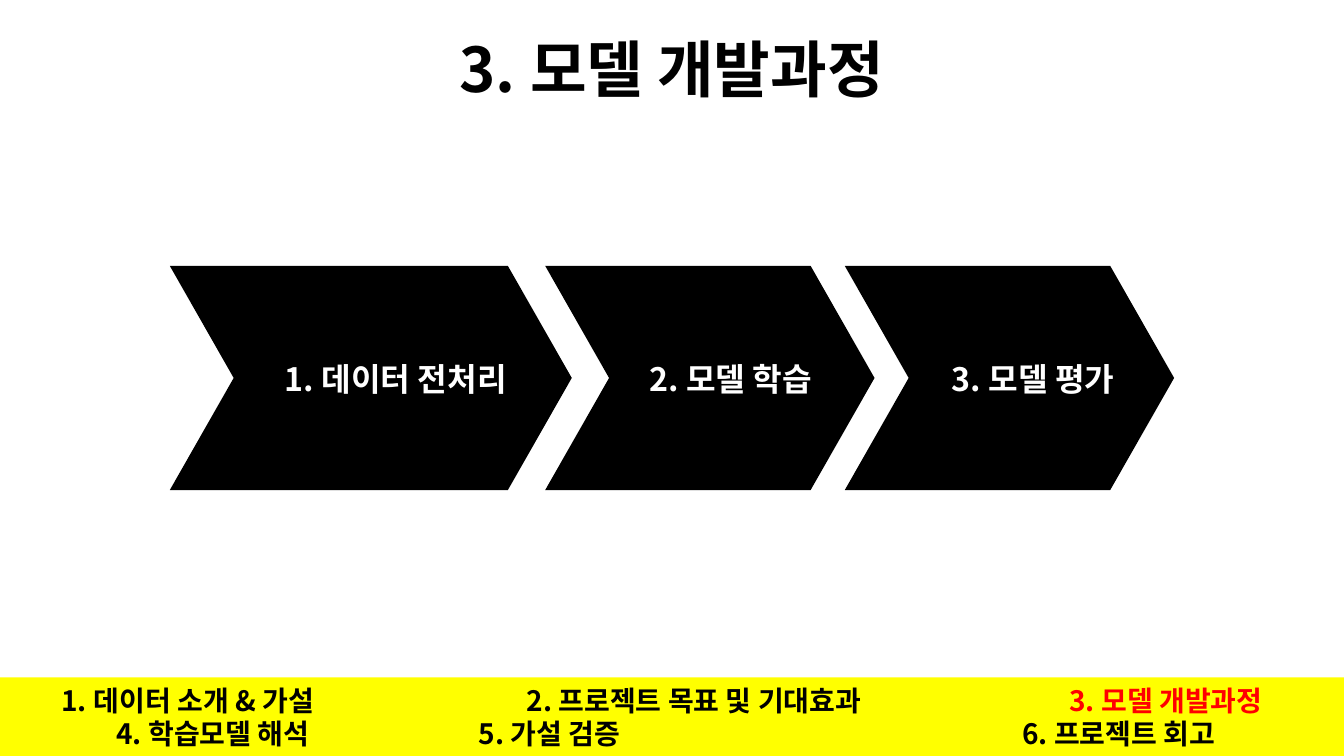
from lxml import etree
from pptx import Presentation
from pptx import util as u
from pptx.dml.color import RGBColor
from pptx.enum import shapes, text
from pptx.oxml import ns

HUES = {"ink": "000000", "paper": "FFFFFF", "bar": "FFFF00", "now": "FF0000"}


class Deck:
    face = "Noto Sans CJK KR"

    def __init__(self, wide, high):
        self.prs = Presentation()
        self.prs.slide_width, self.prs.slide_height = u.Cm(wide), u.Cm(high)
        self.slide = self.prs.slides.add_slide(self.prs.slide_layouts[6])

    def hue(self, name):
        return RGBColor.from_string(HUES[name])

    def font(self, font, size, hue):
        font.size, font.bold, font.name = u.Pt(size), True, self.face
        font.color.rgb = self.hue(hue)
        east = etree.SubElement(font._element, ns.qn("a:ea"))
        east.set("typeface", self.face)

    def shape(self, kind, box, hue):
        item = self.slide.shapes.add_shape(kind, *map(u.Cm, box))
        item.shadow.inherit = False
        item.fill.solid()
        item.fill.fore_color.rgb = self.hue(hue)
        item.line.fill.background()
        return item

    def label(self, words, box, size, hue):
        frame = self.slide.shapes.add_textbox(*map(u.Cm, box)).text_frame
        frame.word_wrap = True
        frame.vertical_anchor = text.MSO_ANCHOR.MIDDLE
        para = frame.paragraphs[0]
        para.text = words
        para.alignment = text.PP_ALIGN.CENTER
        self.font(para.font, size, hue)
        return para

    def row(self, para, items, stops, size, now):
        """Fill a paragraph with items that start at tab stops."""
        para.alignment = text.PP_ALIGN.LEFT
        self.font(para.font, size, "ink")
        tabs = etree.Element(ns.qn("a:tabLst"))
        for stop in stops:
            etree.SubElement(tabs, ns.qn("a:tab"), pos=str(u.Cm(stop)), algn="l")
        para.font._element.addprevious(tabs)
        for item in items:
            run = para.add_run()
            run.text = "\t" + item
            run.font.color.rgb = self.hue("now" if item == now else "ink")


deck = Deck(33.87, 19.05)

# Title
title = "3. 모델 개발과정"
deck.label(title, (2.33, 0, 29.21, 3.68), 44, "ink").line_spacing = 0.9

# Agenda bar
bar = deck.shape(shapes.MSO_SHAPE.RECTANGLE, (0, 17.07, 33.87, 1.98), "bar")
frame = bar.text_frame
frame.margin_left = frame.margin_right = 0
frame.vertical_anchor = text.MSO_ANCHOR.MIDDLE
rows = [
    (("1. 데이터 소개 & 가설", "2. 프로젝트 목표 및 기대효과", title), (1.55, 13.27, 26.95)),
    (("4. 학습모델 해석", "5. 가설 검증", "6. 프로젝트 회고"), (2.93, 12.07, 25.76)),
]
for num, (items, stops) in enumerate(rows):
    para = frame.add_paragraph() if num else frame.paragraphs[0]
    deck.row(para, items, stops, 20, title)

# Process steps: arrow left and width, label left and width
steps = [
    ("1. 데이터 전처리", 4.28, 10.13, 6.46, 7.03),
    ("2. 모델 학습", 13.74, 8.3, 15.8, 5.23),
    ("3. 모델 평가", 21.29, 8.3, 23.42, 5.23),
]
for words, left, wide, start, span in steps:
    arrow = deck.shape(shapes.MSO_SHAPE.CHEVRON, (left, 6.7, wide, 5.65), "ink")
    arrow.adjustments[0] = 0.285
    deck.label(words, (start, 8.91, span, 1.24), 23, "paper")

deck.prs.save("out.pptx")
